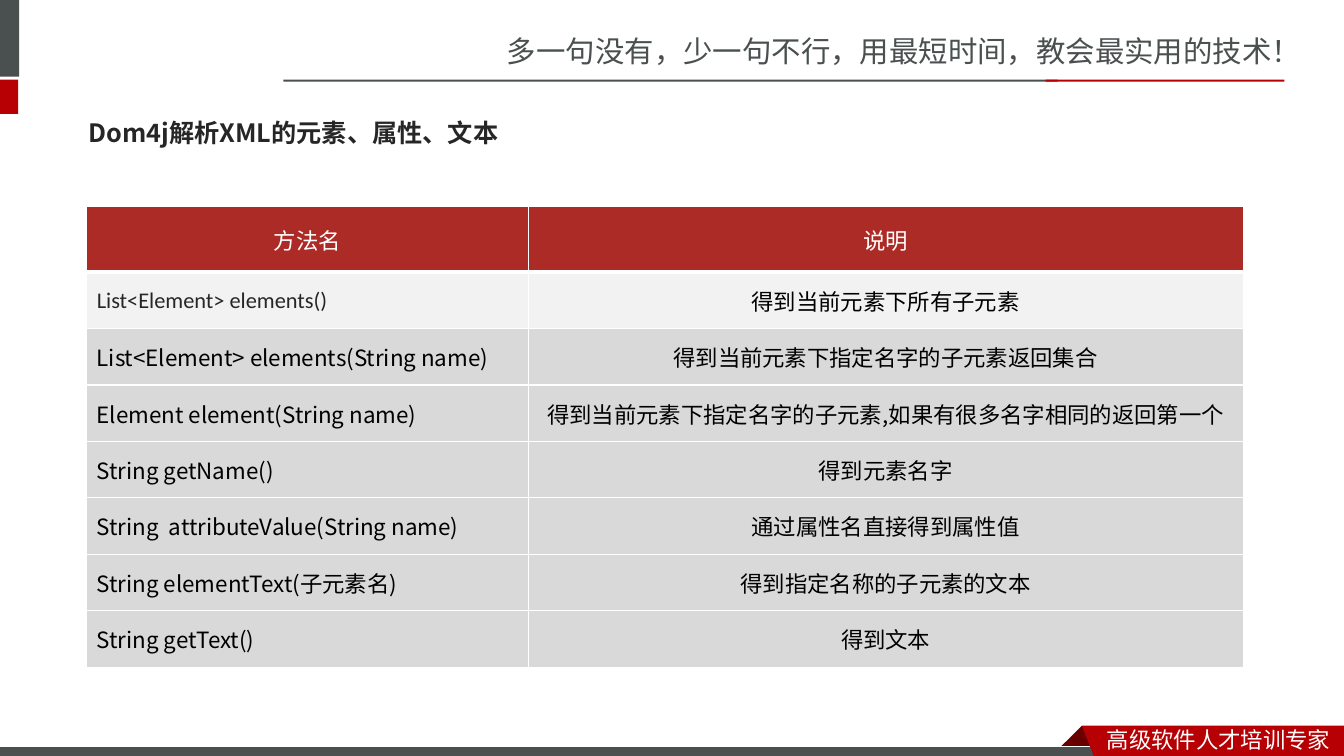
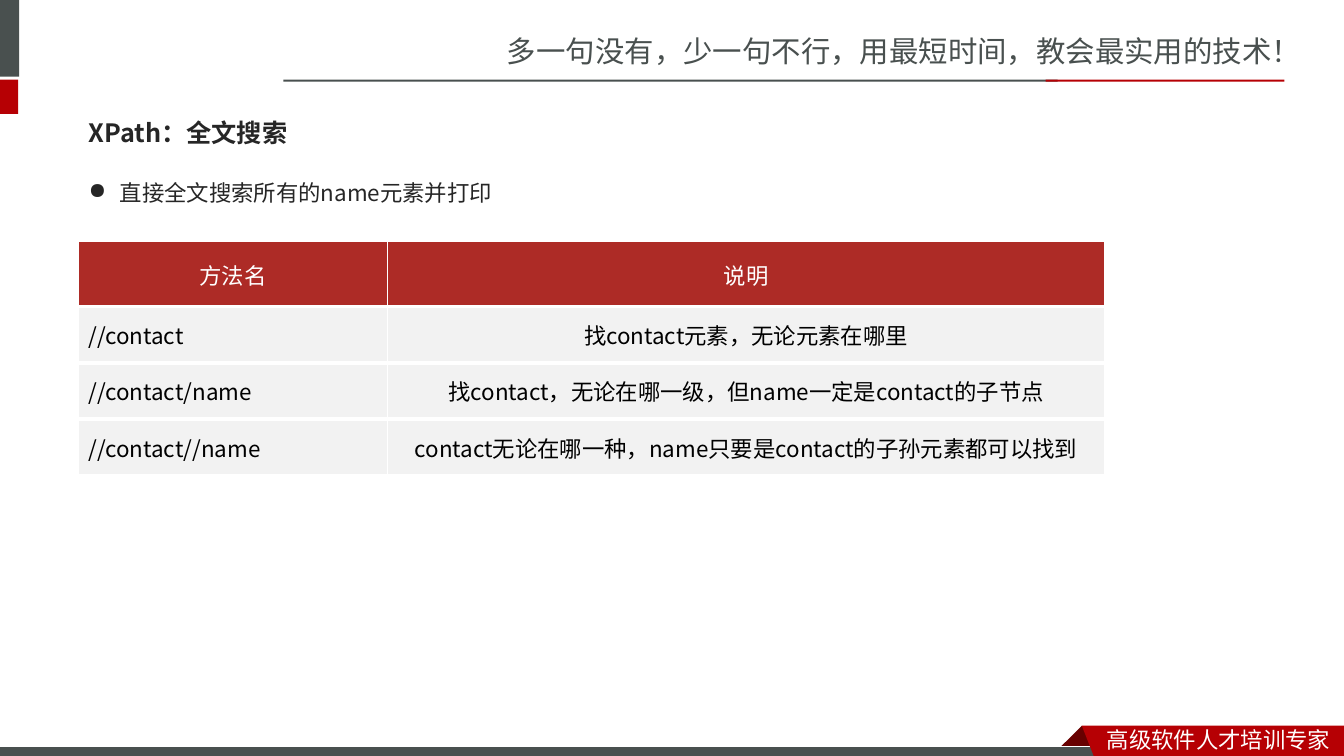
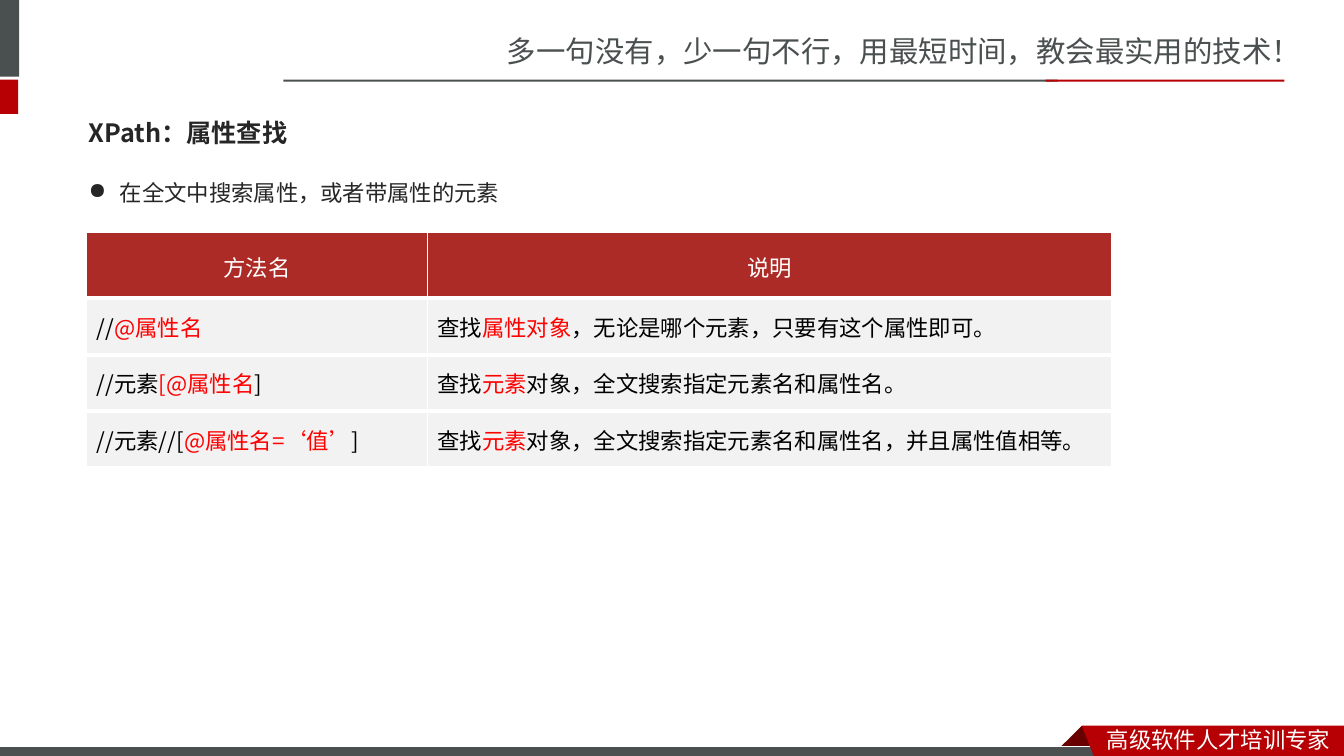
from dataclasses import dataclass

from lxml import etree
from pptx import Presentation
from pptx import util as u
from pptx.dml.color import RGBColor
from pptx.enum import shapes, text
from pptx.oxml.ns import qn

PX = 9144  # EMU per px, 100 px to the inch
GREY, RED, DARK_RED = "49504F", "B60004", "680000"
HEADER, LIGHT, MID = "AD2B26", "F2F2F2", "D9D9D9"
WHITE, BLACK, INK, ACCENT = "FFFFFF", "000000", "262626", "FF0000"
SANS, SANS_JP, LATIN = "Noto Sans CJK SC", "Noto Sans CJK JP", "Calibri"
HEADER_HEIGHT, ROW_HEIGHT = 65, 56
SLOGAN = "多一句没有，少一句不行，用最短时间，教会最实用的技术！"
MOTTO = "高级软件人才培训专家"
LEFT, CENTER = text.PP_ALIGN.LEFT, text.PP_ALIGN.CENTER


@dataclass
class Box:
    x: int
    y: int
    w: int
    h: int

    def emu(self) -> list[u.Emu]:
        return [px(n) for n in (self.x, self.y, self.w, self.h)]


@dataclass
class Bar:
    box: Box
    color: str
    outline: str = ""


@dataclass
class Outline:
    points: list[tuple[int, int]]
    color: str


@dataclass
class Style:
    size: int
    color: str
    font: str = SANS
    bold: bool = False


@dataclass
class Row:
    """Text between bars (|) is shown in the accent colour."""
    method: str
    note: str
    fill: str = LIGHT
    method_style: Style | None = None


@dataclass
class Grid:
    x: int
    y: int
    cols: tuple[int, int]
    rows: list[Row]
    note_align: text.PP_ALIGN = CENTER
    rule: int = 3


@dataclass
class Page:
    title: str
    title_font: str
    grid: Grid
    bullet: str = ""


BODY = Style(16, BLACK)
BARS = [
    Bar(Box(-6, 0, 25, 76), GREY),
    Bar(Box(-6, 79, 24, 34), RED),
    Bar(Box(281, 79, 768, 2), GREY),
    Bar(Box(1037, 79, 237, 2), RED),
    Bar(Box(-1, 741, 1100, 12), GREY, WHITE),
]
FOLD = Outline([(1073, 720), (1095, 742), (1094, 743), (1052, 743), (1051, 742)], DARK_RED)
RIBBON = Outline([(1073, 720), (1333, 720), (1333, 754), (1086, 753)], RED)

PAGES = [
    Page("Dom4j解析XML的元素、属性、文本", SANS, Grid(86, 205, (438, 709), [
        Row("List<Element> elements()", "得到当前元素下所有子元素",
            method_style=Style(16, INK, LATIN)),
        Row("List<Element> elements(String name)", "得到当前元素下指定名字的子元素返回集合", MID),
        Row("Element element(String name)",
            "得到当前元素下指定名字的子元素,如果有很多名字相同的返回第一个", MID),
        Row("String getName()", "得到元素名字", MID),
        Row("String  attributeValue(String name)", "通过属性名直接得到属性值", MID),
        Row("String elementText(子元素名)", "得到指定名称的子元素的文本", MID),
        Row("String getText()", "得到文本", MID),
    ], rule=1)),
    Page("XPath：全文搜索", SANS_JP, Grid(78, 239, (306, 712), [
        Row("//contact", "找contact元素，无论元素在哪里"),
        Row("//contact/name", "找contact，无论在哪一级，但name一定是contact的子节点"),
        Row("//contact//name", "contact无论在哪一种，name只要是contact的子孙元素都可以找到"),
    ]), "直接全文搜索所有的name元素并打印"),
    Page("XPath：属性查找", SANS_JP, Grid(86, 231, (338, 679), [
        Row("//|@属性名|", "查找|属性对象|，无论是哪个元素，只要有这个属性即可。"),
        Row("//元素|[@属性名|]", "查找|元素|对象，全文搜索指定元素名和属性名。"),
        Row("//元素//[|@属性名=‘值’|]",
            "查找|元素|对象，全文搜索指定元素名和属性名，并且属性值相等。"),
    ], LEFT), "在全文中搜索属性，或者带属性的元素"),
]


def px(n: int) -> u.Emu:
    return u.Emu(n * PX)


def rgb(color: str) -> RGBColor:
    return RGBColor.from_string(color)


def paint(sp, color: str, outline: str = "") -> None:
    sp.shadow.inherit = False
    sp.fill.solid()
    sp.fill.fore_color.rgb = rgb(color)
    if outline:
        sp.line.color.rgb = rgb(outline)
        sp.line.width = u.Pt(0.75)
    else:
        sp.line.fill.background()


def add_bar(slide, bar: Bar) -> None:
    sp = slide.shapes.add_shape(shapes.MSO_SHAPE.RECTANGLE, *bar.box.emu())
    paint(sp, bar.color, bar.outline)


def add_outline(slide, outline: Outline) -> None:
    start, *rest = outline.points
    builder = slide.shapes.build_freeform(*start, scale=PX)
    builder.add_line_segments(rest, close=True)
    paint(builder.convert_to_shape(), outline.color)


def write(p, content: str, style: Style, align: text.PP_ALIGN = LEFT) -> None:
    p.alignment = align
    font = p.font
    font.size, font.bold, font.name = u.Pt(style.size), style.bold, style.font
    font.color.rgb = rgb(style.color)
    east_asian = SANS if style.font == LATIN else style.font
    etree.SubElement(p._p.pPr.find(qn("a:defRPr")), qn("a:ea"), typeface=east_asian)
    for i, part in enumerate(content.split("|")):
        if part:
            r = p.add_run()
            r.text = part
            if i % 2:
                r.font.color.rgb = rgb(ACCENT)


def add_text(slide, box: Box, content: str, style: Style, grow: bool = False,
             anchor: text.MSO_ANCHOR = text.MSO_ANCHOR.TOP):
    tf = slide.shapes.add_textbox(*box.emu()).text_frame
    tf.word_wrap = True
    tf.vertical_anchor = anchor
    if grow:
        tf.auto_size = text.MSO_AUTO_SIZE.SHAPE_TO_FIT_TEXT
    p = tf.paragraphs[0]
    write(p, content, style)
    return p


def add_bullet(slide, content: str) -> None:
    p = add_text(slide, Box(78, 159, 1170, 461), content, Style(16, INK, SANS_JP))
    p.line_spacing = 1.5
    pPr = p._p.pPr
    pPr.set("marL", str(px(31)))
    pPr.set("indent", str(px(-31)))
    bullet = etree.Element(qn("a:buChar"), char="●")
    pPr.find(qn("a:defRPr")).addprevious(bullet)


def set_borders(cell, top: int, bottom: int) -> None:
    """Give the cell white borders, with 1 pt at the sides."""
    tcPr = cell._tc.get_or_add_tcPr()
    for side, width in (("L", 1), ("R", 1), ("T", top), ("B", bottom)):
        ln = etree.SubElement(tcPr, qn(f"a:ln{side}"), w=str(u.Pt(width)))
        fill = etree.SubElement(ln, qn("a:solidFill"))
        etree.SubElement(fill, qn("a:srgbClr"), val=WHITE)


def fill_cell(cell, content: str, style: Style, align: text.PP_ALIGN, fill: str,
              top: int, bottom: int):
    set_borders(cell, top, bottom)
    cell.fill.solid()
    cell.fill.fore_color.rgb = rgb(fill)
    cell.vertical_anchor = text.MSO_ANCHOR.MIDDLE
    p = cell.text_frame.paragraphs[0]
    write(p, content, style, align)
    return p


def add_grid(slide, grid: Grid) -> None:
    count = len(grid.rows)
    box = Box(grid.x, grid.y, sum(grid.cols), HEADER_HEIGHT + count * ROW_HEIGHT)
    table = slide.shapes.add_table(count + 1, 2, *box.emu()).table
    table.first_row = table.horz_banding = False
    for column, width in zip(table.columns, grid.cols):
        column.width = px(width)
    for i, row in enumerate(table.rows):
        row.height = px(ROW_HEIGHT if i else HEADER_HEIGHT)
    for col, heading in enumerate(("方法名", "说明")):
        p = fill_cell(table.cell(0, col), heading, Style(16, WHITE, LATIN), CENTER, HEADER, 1, 3)
        p.line_spacing = u.Pt(24)
    for i, row in enumerate(grid.rows, 1):
        top = 3 if i == 1 else grid.rule
        fill_cell(table.cell(i, 0), row.method, row.method_style or BODY, LEFT,
                  row.fill, top, grid.rule)
        fill_cell(table.cell(i, 1), row.note, BODY, grid.note_align,
                  row.fill, top, grid.rule)


def add_frame(slide) -> None:
    """Draw the slogan, bands and footer that every slide shares."""
    add_text(slide, Box(493, 28, 841, 47), SLOGAN, Style(21, GREY), grow=True)
    add_outline(slide, FOLD)
    for bar in BARS:
        add_bar(slide, bar)
    add_outline(slide, RIBBON)
    add_text(slide, Box(1088, 715, 245, 37), MOTTO, Style(16, WHITE), grow=True)


def add_page(prs, page: Page) -> None:
    slide = prs.slides.add_slide(prs.slide_layouts[6])
    add_frame(slide)
    add_text(slide, Box(78, 103, 1170, 57), page.title,
             Style(18, INK, page.title_font, bold=True), anchor=text.MSO_ANCHOR.MIDDLE)
    if page.bullet:
        add_bullet(slide, page.bullet)
    add_grid(slide, page.grid)


def main() -> None:
    prs = Presentation()
    prs.slide_width, prs.slide_height = u.Inches(13.33), u.Inches(7.5)
    for page in PAGES:
        add_page(prs, page)
    prs.save("out.pptx")


if __name__ == "__main__":
    main()
